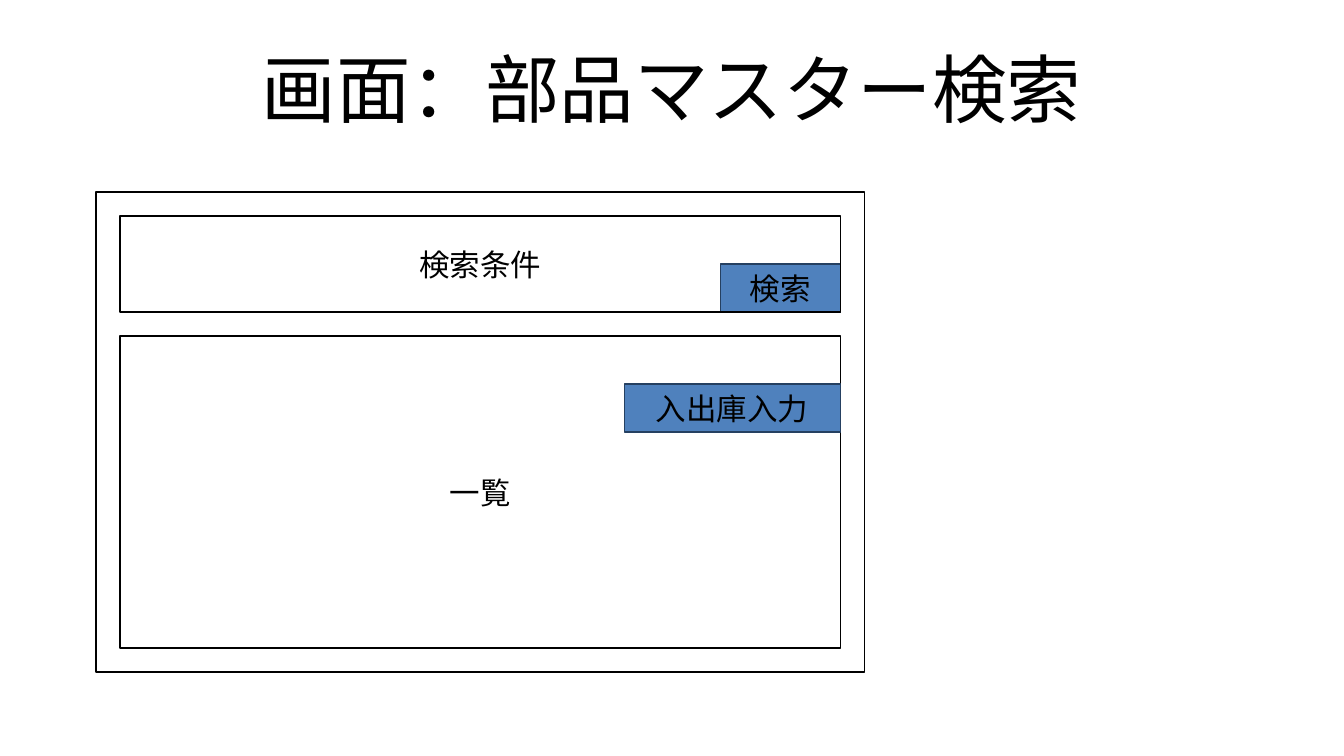
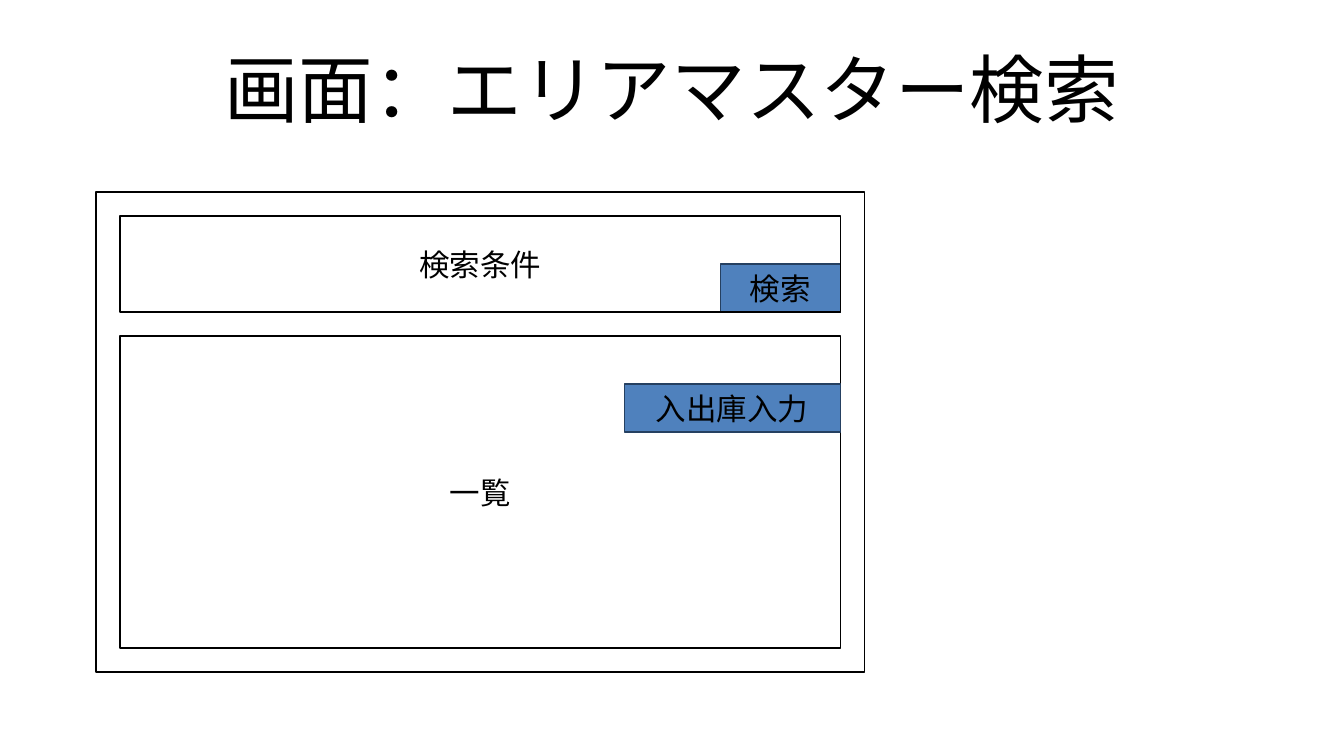
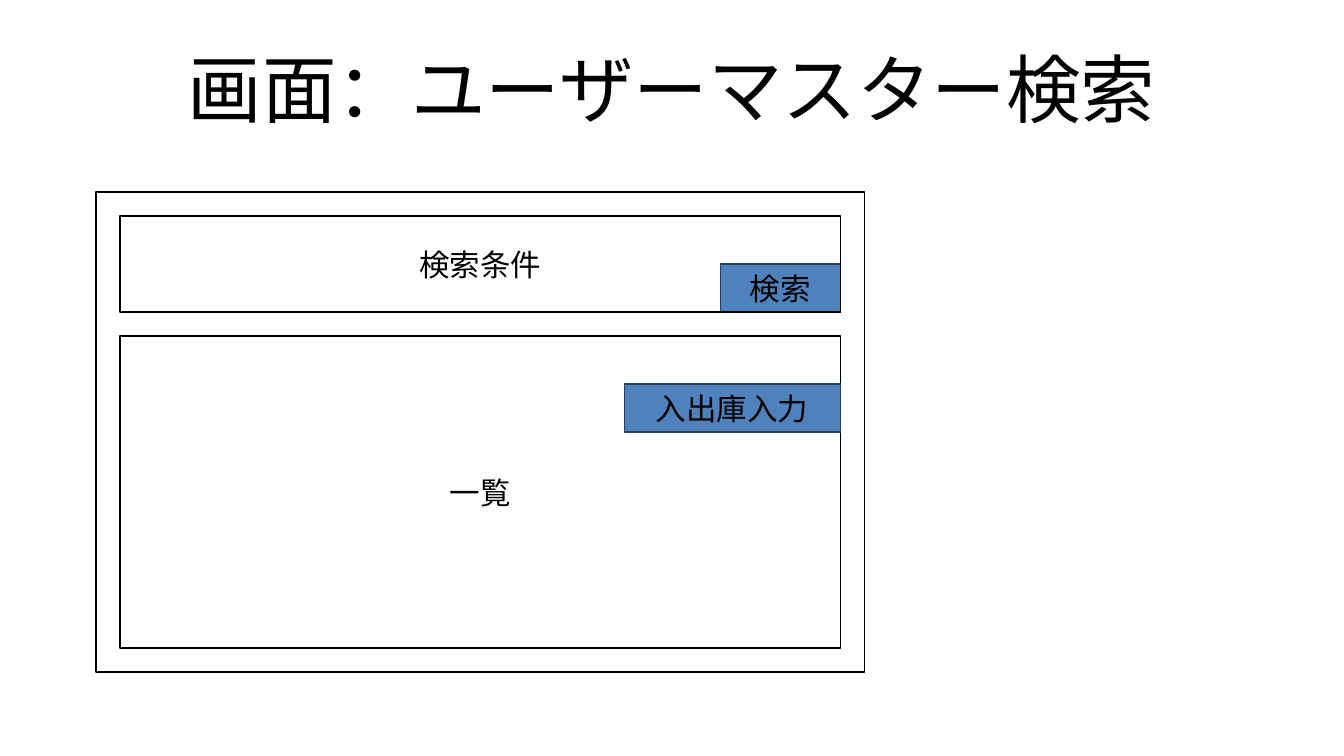
from dataclasses import dataclass
from typing import Optional

from pptx import Presentation
from pptx.dml.color import RGBColor
from pptx.enum.shapes import MSO_SHAPE
from pptx.enum.text import MSO_ANCHOR, MSO_AUTO_SIZE, PP_ALIGN
from pptx.slide import Slide, SlideLayout
from pptx.text.text import TextFrame
from pptx.util import Inches, Length, Pt


@dataclass(frozen=True)
class Theme:
    font: str = "Arial"
    title_size: int = 44
    body_size: int = 18
    ink: RGBColor = RGBColor(0x00, 0x00, 0x00)
    button_fill: RGBColor = RGBColor(0x4F, 0x81, 0xBD)
    button_line: RGBColor = RGBColor(0x25, 0x40, 0x61)


@dataclass(frozen=True)
class Box:
    left: int
    top: int
    width: int
    height: int
    label: str = ""
    fill: Optional[RGBColor] = None
    line: RGBColor = Theme.ink


THEME = Theme()
GRID_CELLS_PER_INCH = 5.08
TITLE_ONLY_LAYOUT = 5

BUTTON_HEIGHT = 2
PANEL_LEFT, PANEL_WIDTH = 5, 30
PANEL_RIGHT = PANEL_LEFT + PANEL_WIDTH


def button(label: str, top: int, width: int) -> Box:
    return Box(PANEL_RIGHT - width, top, width, BUTTON_HEIGHT, label,
               THEME.button_fill, THEME.button_line)


SCREEN_BOXES = (
    Box(4, 8, 32, 20),
    button("検索", top=11, width=5),
    Box(PANEL_LEFT, 9, PANEL_WIDTH, 4, "検索条件"),
    Box(PANEL_LEFT, 14, PANEL_WIDTH, 13, "一覧"),
    button("入出庫入力", top=16, width=9),
)

MASTER_NAMES = ("部品", "エリア", "ユーザー")


def grid(cells: int) -> Length:
    return Inches(cells / GRID_CELLS_PER_INCH)


def write_text(frame: TextFrame, text: str, size: int) -> None:
    frame.text = text
    frame.vertical_anchor = MSO_ANCHOR.MIDDLE
    for para in frame.paragraphs:
        para.alignment = PP_ALIGN.CENTER
        for span in para.runs:
            span.font.name = THEME.font
            span.font.size = Pt(size)
            span.font.color.rgb = THEME.ink


def place_layout_title(layout: SlideLayout) -> None:
    title = layout.placeholders[0]
    title.left, title.top = Inches(0.55), Inches(0.25)
    title.width, title.height = Inches(9.92), Inches(1.03)


def write_title(page: Slide, text: str) -> None:
    frame = page.shapes.title.text_frame
    frame.margin_left = frame.margin_right = Inches(0)
    frame.margin_top = frame.margin_bottom = Inches(0)
    frame.auto_size = MSO_AUTO_SIZE.NONE
    write_text(frame, text, THEME.title_size)
    frame.paragraphs[0].line_spacing = 0.9


def draw_box(page: Slide, box: Box) -> None:
    shape = page.shapes.add_shape(
        MSO_SHAPE.RECTANGLE,
        grid(box.left), grid(box.top), grid(box.width), grid(box.height),
    )
    shape.shadow.inherit = False
    if box.fill is None:
        shape.fill.background()
    else:
        shape.fill.solid()
        shape.fill.fore_color.rgb = box.fill
    shape.line.color.rgb = box.line
    shape.line.width = Pt(0)
    if box.label:
        write_text(shape.text_frame, box.label, THEME.body_size)


def main() -> None:
    deck = Presentation()
    deck.slide_width, deck.slide_height = Inches(11.02), Inches(6.2)
    layout = deck.slide_layouts[TITLE_ONLY_LAYOUT]
    place_layout_title(layout)
    for name in MASTER_NAMES:
        page = deck.slides.add_slide(layout)
        write_title(page, f"画面：{name}マスター検索")
        for box in SCREEN_BOXES:
            draw_box(page, box)
    deck.save("out.pptx")


if __name__ == "__main__":
    main()
